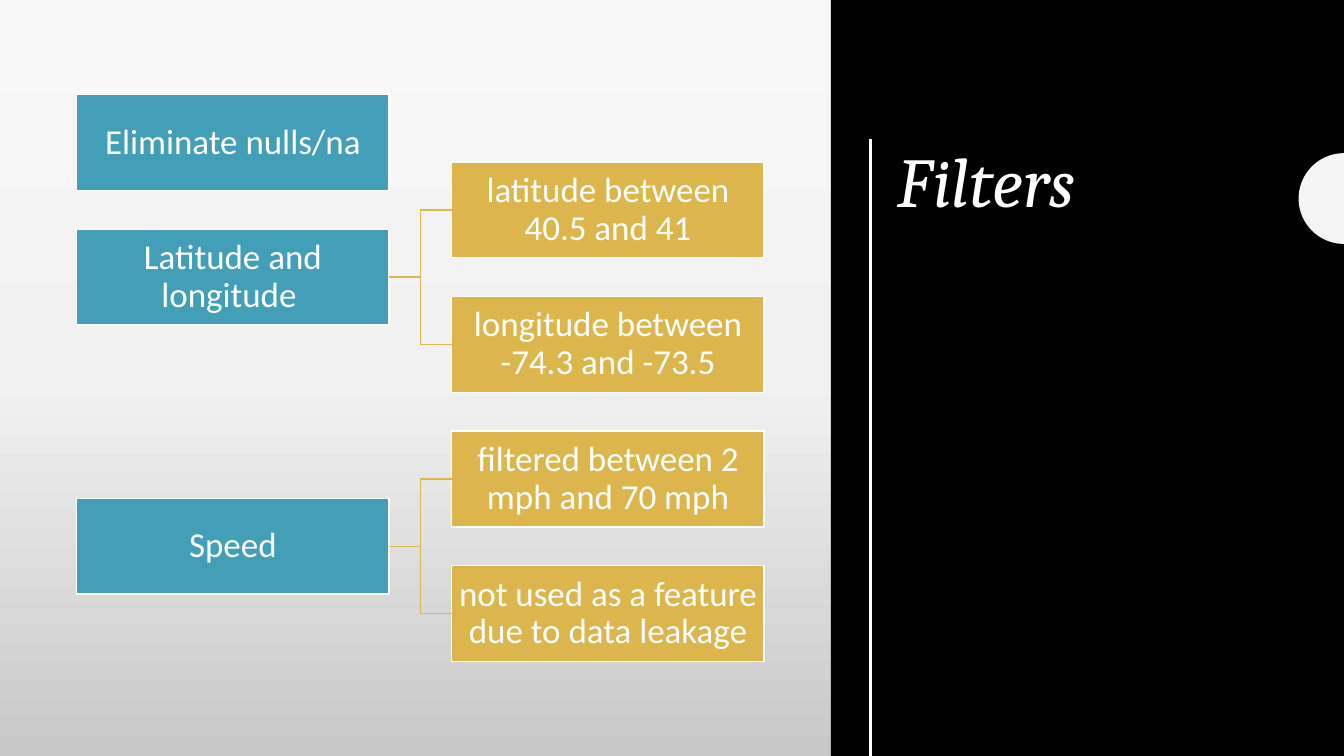
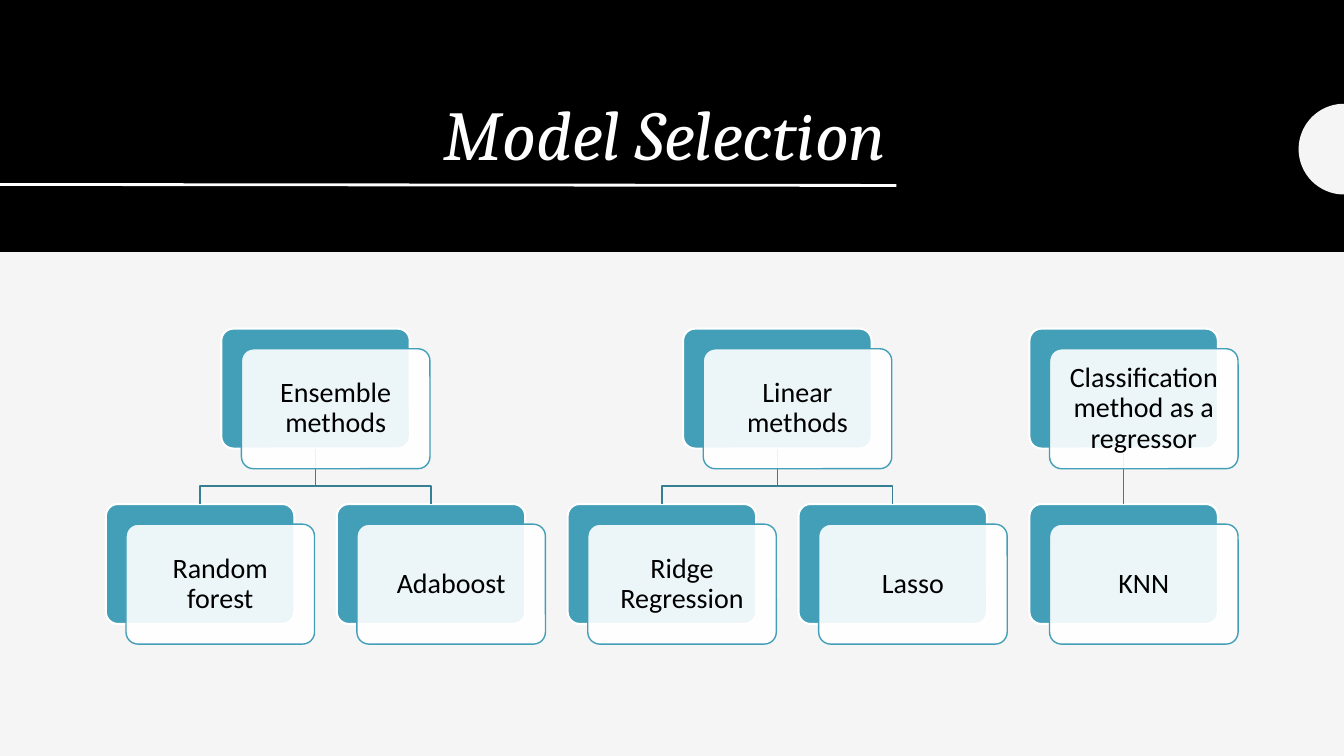
from copy import deepcopy
from math import cos, pi, sin

from lxml.etree import SubElement
from pptx import Presentation
from pptx.dml.color import RGBColor
from pptx.enum.shapes import MSO_CONNECTOR as LINK, MSO_SHAPE as SHAPE
from pptx.enum.text import MSO_ANCHOR as ANCHOR, PP_ALIGN as ALIGN
from pptx.oxml.ns import qn
from pptx.util import Inches, Pt

WIDTH, HEIGHT = 13.33, 7.5
BLACK = RGBColor(0x00, 0x00, 0x00)
WHITE = RGBColor(0xFF, 0xFF, 0xFF)
PAPER = RGBColor(0xF5, 0xF5, 0xF5)
TEAL = RGBColor(0x43, 0x9E, 0xB7)
DARK_TEAL = RGBColor(0x36, 0x7F, 0x93)
GOLD = RGBColor(0xDC, 0xB6, 0x4D)
FADE = [(0, RGBColor(0xF8, 0xF8, 0xF8)), (0.5, RGBColor(0xF1, 0xF1, 0xF1)),
        (1, RGBColor(0xC8, 0xC8, 0xC8))]


class Deck:
    title_font, body_font = "Cambria", "Calibri"
    title_size = 50
    notch_radius = 0.45

    def __init__(self):
        self.show = Presentation()
        self.show.slide_width, self.show.slide_height = Inches(WIDTH), Inches(HEIGHT)
        self.slide = None

    def new_slide(self):
        self.slide = self.show.slides.add_slide(self.show.slide_layouts[6])
        self.slide.background.fill.solid()
        self.slide.background.fill.fore_color.rgb = PAPER

    def outline(self, item, color, weight):
        if color is None:
            item.line.fill.background()
        else:
            item.line.color.rgb = color
            item.line.width = Pt(weight)

    def box(self, x, y, w, h, fill, line=None, weight=1.0, kind=SHAPE.RECTANGLE):
        box = self.slide.shapes.add_shape(kind, Inches(x), Inches(y), Inches(w), Inches(h))
        box.shadow.inherit = False
        box.fill.solid()
        box.fill.fore_color.rgb = fill
        self.outline(box, line, weight)
        return box

    def fade(self, box, stops):
        box.fill.gradient()
        box.fill.gradient_angle = 270
        first = box._element.spPr.find(".//" + qn("a:gs"))
        first.addnext(deepcopy(first))
        for stop, (position, color) in zip(box.fill.gradient_stops, stops):
            stop.position = position
            stop.color.rgb = color

    def see_through(self, box, percent):
        color = box._element.spPr.find(qn("a:solidFill")).find(qn("a:srgbClr"))
        SubElement(color, qn("a:alpha")).set("val", str(percent * 1000))

    def set_text(self, holder, text, size, color, font, align, anchor, inset):
        frame = holder.text_frame
        frame.word_wrap = True
        frame.vertical_anchor = anchor
        frame.margin_left = frame.margin_right = Inches(inset)
        frame.margin_top = frame.margin_bottom = Inches(min(inset, 0.08))
        line = frame.paragraphs[0]
        line.text = text
        line.alignment = align
        line.line_spacing = 0.9
        line.font.size = Pt(size)
        line.font.name = font
        line.font.color.rgb = color
        return line

    def label(self, box, text, size, color, inset):
        self.set_text(box, text, size, color, self.body_font, ALIGN.CENTER, ANCHOR.MIDDLE, inset)

    def title(self, text, x, y, w, h, align=ALIGN.LEFT, anchor=ANCHOR.TOP):
        holder = self.slide.shapes.add_textbox(Inches(x), Inches(y), Inches(w), Inches(h))
        line = self.set_text(holder, text, self.title_size, WHITE, self.title_font,
                             align, anchor, 0.1)
        line.font.italic = True

    def connector(self, kind, color, weight, start=(0, 0), end=(0, 0)):
        link = self.slide.shapes.add_connector(kind, *map(Inches, start + end))
        self.outline(link, color, weight)
        SubElement(link._element.spPr, qn("a:effectLst"))
        return link

    def join(self, kind, color, source, source_side, target, target_side):
        link = self.connector(kind, color, 1)
        link.begin_connect(source, source_side)
        link.end_connect(target, target_side)

    def polyline(self, points, close):
        corners = [(Inches(x), Inches(y)) for x, y in points]
        builder = self.slide.shapes.build_freeform(*corners[0])
        builder.add_line_segments(corners[1:], close=close)
        figure = builder.convert_to_shape()
        figure.shadow.inherit = False
        return figure

    def branch(self, points, color):
        figure = self.polyline(points, close=False)
        figure.fill.background()
        self.outline(figure, color, 1)

    def notch(self, middle):
        steps = 48
        arc = [(WIDTH - self.notch_radius * sin(pi * i / steps),
                middle - self.notch_radius * cos(pi * i / steps)) for i in range(steps + 1)]
        half_disc = self.polyline(arc, close=True)
        half_disc.fill.solid()
        half_disc.fill.fore_color.rgb = PAPER
        self.outline(half_disc, None, 0)


def filters_slide(deck):
    topics = [
        ("Eliminate nulls/na", 0, []),
        ("Latitude and longitude ", 1,
         ["latitude between 40.5 and 41", "longitude between -74.3 and -73.5"]),
        ("Speed", 3,
         ["filtered between 2 mph and 70 mph", "not used as a feature due to data leakage"]),
    ]
    topic_x, rule_x, top, pitch = 0.76, 4.48, 0.94, 1.335
    box_w, box_h = 3.1, 0.95

    def block(text, x, slot, fill):
        box = deck.box(x, top + slot * pitch, box_w, box_h, fill, WHITE)
        deck.label(box, text, 25, WHITE, 0.02)
        return box

    deck.new_slide()
    deck.fade(deck.box(0, 0, WIDTH, HEIGHT, PAPER), FADE)
    deck.box(8.24, 0, WIDTH - 8.24, HEIGHT, BLACK)
    deck.title("Filters", 8.8, 1.38, 3.83, 4.65)
    deck.connector(LINK.STRAIGHT, WHITE, 2, (8.63, 1.38), (8.63, HEIGHT))
    deck.notch(1.97)
    for name, slot, rules in topics:
        topic = block(name, topic_x, slot, TEAL)
        for i, text in enumerate(rules):
            rule = block(text, rule_x, slot - 0.5 + i, GOLD)
            deck.join(LINK.ELBOW, GOLD, topic, 3, rule, 1)


def models_slide(deck):
    families = [
        ("Ensemble methods", ["Random forest", "Adaboost"]),
        ("Linear methods", ["Ridge Regression", "Lasso"]),
        ("Classification method as a regressor", ["KNN"]),
    ]
    left, pitch, family_y, model_y = 1.05, 2.29, 3.26, 5.0
    card_w, card_h, shift, fork = 1.87, 1.19, 0.2, 4.82
    fronts = []

    def card(text, x, y):
        back = deck.box(x, y, card_w, card_h, TEAL, WHITE, 1.5, SHAPE.ROUNDED_RECTANGLE)
        back.adjustments[0] = 0.1
        fronts.append((text, x + shift, y + shift))
        return back

    deck.new_slide()
    deck.box(0, 0, WIDTH, 2.5, BLACK)
    deck.title("Model Selection", 1.05, 0.47, 7.84, 1.35, ALIGN.RIGHT, ANCHOR.BOTTOM)
    deck.connector(LINK.STRAIGHT, WHITE, 2, (0, 1.83), (8.89, 1.84))
    deck.notch(1.48)

    column = 0
    for name, models in families:
        xs = [left + pitch * (column + i) for i in range(len(models))]
        column += len(models)
        family_x = sum(xs) / len(xs)
        family = card(name, family_x, family_y)
        stem = family_x + card_w / 2
        for model_name, x in zip(models, xs):
            model = card(model_name, x, model_y)
            if x == family_x:
                deck.join(LINK.STRAIGHT, DARK_TEAL, family, 2, model, 0)
            else:
                tip = x + card_w / 2
                deck.branch([(stem, family_y + card_h), (stem, fork),
                             (tip, fork), (tip, model_y)], DARK_TEAL)

    for text, x, y in fronts:
        front = deck.box(x, y, card_w, card_h, WHITE, TEAL, 1, SHAPE.ROUNDED_RECTANGLE)
        front.adjustments[0] = 0.1
        deck.see_through(front, 90)
        deck.label(front, text, 20, BLACK, 0.08)


def main():
    deck = Deck()
    filters_slide(deck)
    models_slide(deck)
    deck.show.save("out.pptx")


if __name__ == "__main__":
    main()
